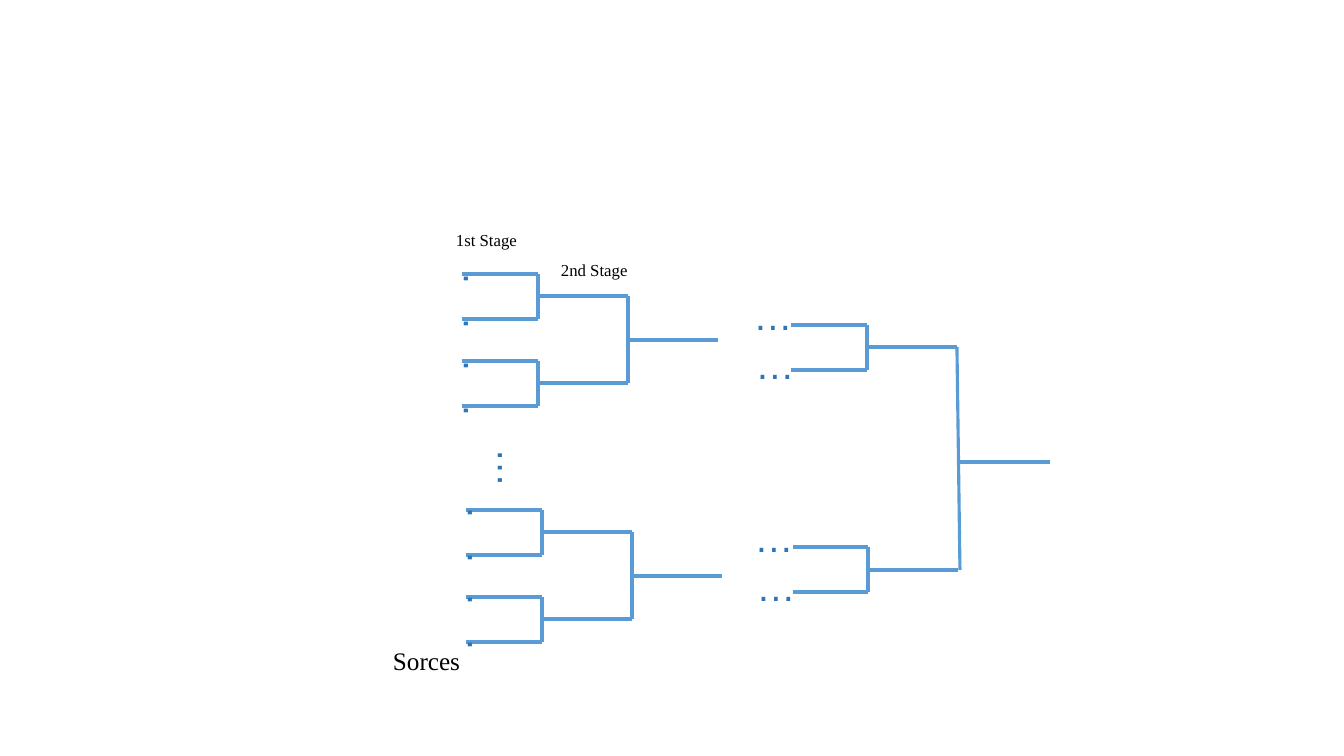
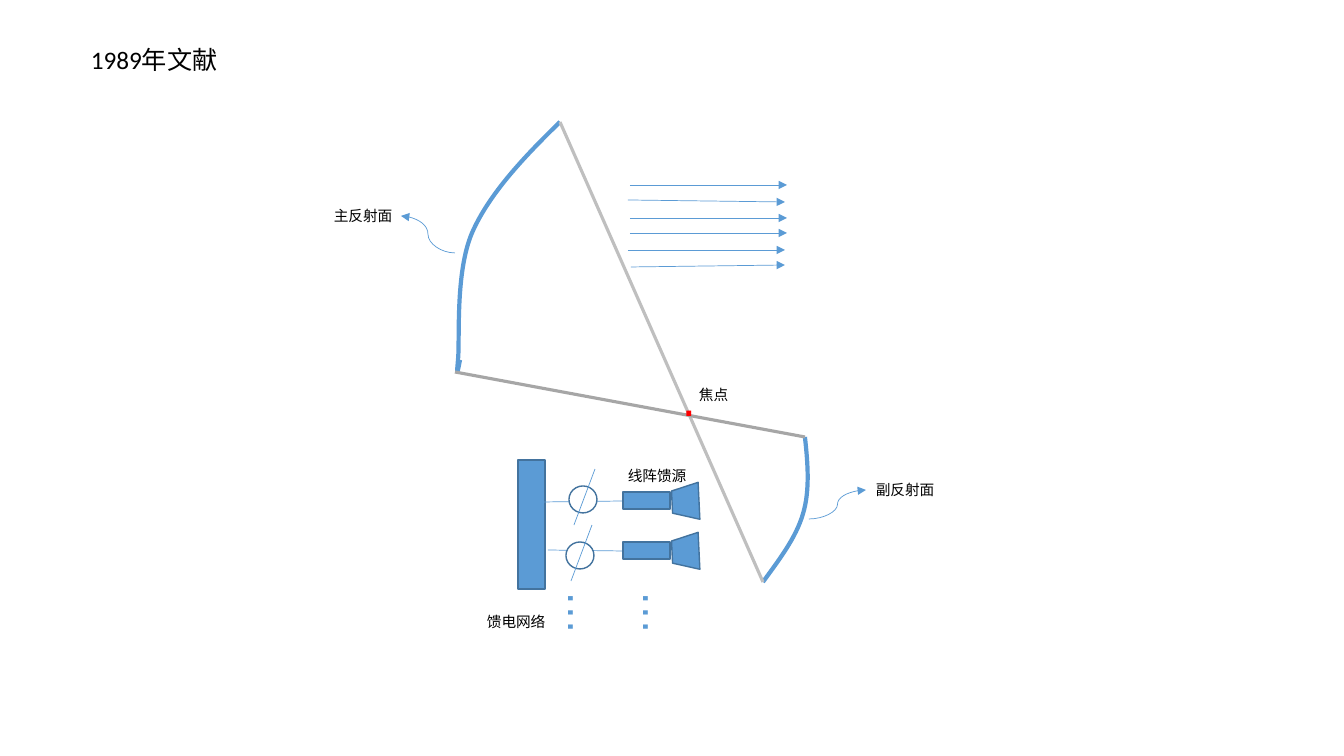
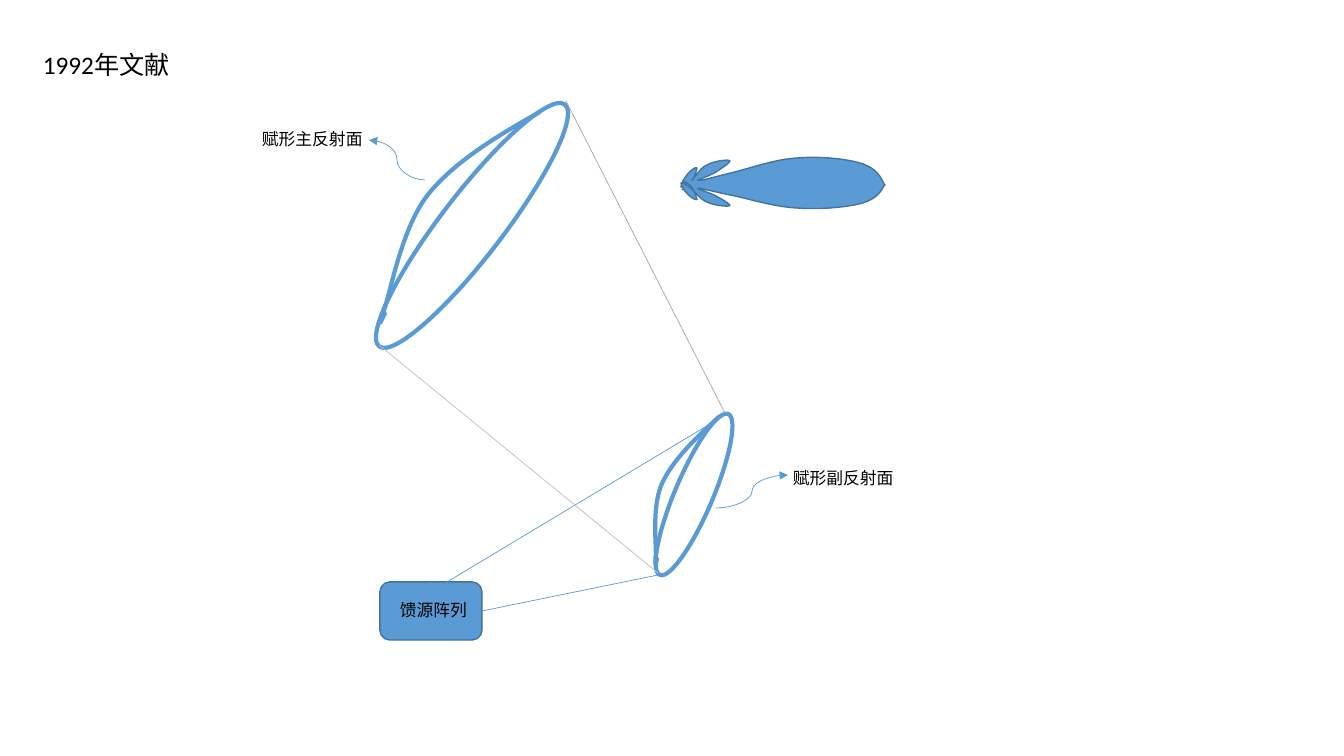
"""Build three slides on a combining network and two reflector antennas."""
import dataclasses
import typing

import lxml.etree
import pptx
import pptx.dml.color
import pptx.enum.shapes
import pptx.enum.text
import pptx.oxml.ns
import pptx.util

EMU_PER_PIXEL = 914400 / 100.8

BLUE = pptx.dml.color.RGBColor(0x5B, 0x9B, 0xD5)
DARK_BLUE = pptx.dml.color.RGBColor(0x2E, 0x75, 0xB6)
EDGE = pptx.dml.color.RGBColor(0x43, 0x73, 0x9E)
LIGHT_GREY = pptx.dml.color.RGBColor(0xBF, 0xBF, 0xBF)
GREY = pptx.dml.color.RGBColor(0xA6, 0xA6, 0xA6)
BLACK = pptx.dml.color.RGBColor(0, 0, 0)
WHITE = pptx.dml.color.RGBColor(0xFF, 0xFF, 0xFF)
RED = pptx.dml.color.RGBColor(0xFF, 0, 0)

THIN, EDGE_WIDTH, THICK, REFLECTOR = 0.5, 1, 2.25, 3
ELLIPSIS = "…"
SANS, SERIF, DOT_FONT = "Calibri", "Times New Roman", "Arial"

Shapes = pptx.enum.shapes.MSO_SHAPE
Connectors = pptx.enum.shapes.MSO_CONNECTOR
Color = pptx.dml.color.RGBColor
qualified = pptx.oxml.ns.qn


class Point(typing.NamedTuple):
    x: float
    y: float


class Box(typing.NamedTuple):
    left: int
    top: int
    width: int
    height: int


class Label(typing.NamedTuple):
    text: str
    box: Box


@dataclasses.dataclass(frozen=True)
class Fork:
    left: int
    joint: int
    upper: int
    lower: int


@dataclasses.dataclass(frozen=True)
class SourceGroup:
    left: int
    top: int
    dot_rise: int
    output: int


@dataclasses.dataclass(frozen=True)
class FeedRow:
    top: int
    wire_end: Point
    circle: Point


@dataclasses.dataclass(frozen=True)
class Line:
    start: Point
    end: Point
    color: Color = BLUE
    width: float = THIN
    arrow: bool = False
    curved: bool = False


def emu(pixels: float) -> int:
    return round(pixels * EMU_PER_PIXEL)


def points(*pairs: tuple[float, float]) -> list[Point]:
    return [Point(*pair) for pair in pairs]


MAIN_FRAME = Box(457, 122, 103, 250)
MAIN_CURVE = points(
    (560, 122), (524, 157), (489, 194), (472, 233), (455, 273), (460, 339),
    (458, 360), (456, 381), (458, 370), (460, 360))


def add_text(slide, text: str, box: Box, *, size: float, font: str = SANS,
             color: Color = BLACK, vertical: bool = False, rotation: float = 0,
             anchor=None, line_spacing: float | None = None) -> None:
    shape = slide.shapes.add_textbox(*map(emu, box))
    shape.rotation = rotation
    frame = shape.text_frame
    frame.word_wrap = True
    frame.auto_size = pptx.enum.text.MSO_AUTO_SIZE.SHAPE_TO_FIT_TEXT
    frame.vertical_anchor = anchor
    paragraph = frame.paragraphs[0]
    paragraph.line_spacing = line_spacing
    run = paragraph.add_run()
    run.text = text
    run.font.size = pptx.util.Pt(size)
    run.font.name = font
    run.font.color.rgb = color
    if vertical:
        body = shape.element.txBody.find(qualified("a:bodyPr"))
        body.set("vert", "eaVert")
        lxml.etree.SubElement(run.font._element, qualified("a:ea"), typeface=font)


def add_labels(slide, labels: list[Label], size: float, font: str = SANS) -> None:
    for label in labels:
        add_text(slide, label.text, label.box, size=size, font=font)


def add_line(slide, line: Line) -> None:
    kind = Connectors.CURVE if line.curved else Connectors.STRAIGHT
    connector = slide.shapes.add_connector(kind, *map(emu, line.start + line.end))
    connector.line.color.rgb = line.color
    connector.line.width = pptx.util.Pt(line.width)
    properties = connector.element.spPr
    if line.arrow:
        outline = properties.find(qualified("a:ln"))
        lxml.etree.SubElement(outline, qualified("a:tailEnd"), type="triangle")
    lxml.etree.SubElement(properties, qualified("a:effectLst"))


def style_shape(shape, fill: Color | None, line: Color, width: float) -> None:
    shape.shadow.inherit = False
    if fill is None:
        shape.fill.background()
    else:
        shape.fill.solid()
        shape.fill.fore_color.rgb = fill
    shape.line.color.rgb = line
    shape.line.width = pptx.util.Pt(width)


def add_shape(slide, kind, box: Box, *, fill: Color | None = BLUE, line: Color = EDGE,
              width: float = EDGE_WIDTH, rotation: float = 0):
    shape = slide.shapes.add_shape(kind, *map(emu, box))
    shape.rotation = rotation
    style_shape(shape, fill, line, width)
    return shape


def add_curve(slide, nodes: list[Point], frame: Box, *, fill: Color | None = None,
              line: Color = BLUE, width: float = REFLECTOR):
    local = [(emu(node.x - frame.left), emu(node.y - frame.top)) for node in nodes]
    builder = slide.shapes.build_freeform(*local[0])
    builder.add_line_segments(local[3::3], close=False)
    shape = builder.convert_to_shape()
    outline = next(shape.element.spPr.iter(qualified("a:path")))
    outline.set("w", str(emu(frame.width)))
    outline.set("h", str(emu(frame.height)))
    for command in list(outline):
        outline.remove(command)
    commands = [("a:moveTo", local[:1])]
    commands += [("a:cubicBezTo", local[i:i + 3]) for i in range(1, len(local), 3)]
    for tag, corners in commands:
        command = lxml.etree.SubElement(outline, qualified(tag))
        for x, y in corners:
            lxml.etree.SubElement(command, qualified("a:pt"), x=str(x), y=str(y))
    place_shape(shape, frame)
    style_shape(shape, fill, line, width)
    return shape


def place_shape(shape, box: Box) -> None:
    shape.left, shape.top, shape.width, shape.height = map(emu, box)


def add_main_curve(slide, box: Box, rotation: float = 0) -> None:
    shape = add_curve(slide, MAIN_CURVE, MAIN_FRAME)
    place_shape(shape, box)
    shape.rotation = rotation


def add_thick_line(slide, x1: int, y1: int, x2: int, y2: int) -> None:
    add_line(slide, Line(Point(x1, y1), Point(x2, y2), width=THICK))


def add_fork(slide, fork: Fork) -> None:
    for row in (fork.upper, fork.lower):
        add_thick_line(slide, fork.left, row, fork.joint, row)
    add_thick_line(slide, fork.joint, fork.upper, fork.joint, fork.lower)


def add_dots(slide, text: str, box: Box, rotation: float = 0) -> None:
    add_text(slide, text, box, size=28, font=DOT_FONT, color=DARK_BLUE,
             vertical=True, rotation=rotation)


def add_source_group(slide, group: SourceGroup) -> None:
    joint = group.left + 76
    rows = [group.top + offset for offset in (0, 45, 87, 132)]
    add_fork(slide, Fork(group.left, joint, rows[0], rows[1]))
    add_fork(slide, Fork(group.left, joint, rows[2], rows[3]))
    add_fork(slide, Fork(joint, joint + 90, group.top + 22, group.top + 109))
    add_thick_line(slide, joint + 90, group.output, joint + 180, group.output)
    for index, row in enumerate(rows):
        height = 29 if index else 23
        add_dots(slide, ".", Box(group.left - 22, row - group.dot_rise, 68, height))


def build_network(slide) -> None:
    for group in (SourceGroup(462, 274, 10, 340), SourceGroup(466, 510, 12, 576)):
        add_source_group(slide, group)
    add_dots(slide, ELLIPSIS, Box(492, 439, 50, 79))
    for left, top in ((758, 272), (760, 321), (759, 494), (761, 543)):
        add_dots(slide, ELLIPSIS, Box(left, top, 50, 79), rotation=270)
    for fork, output in ((Fork(791, 867, 325, 370), 347), (Fork(793, 868, 547, 592), 570)):
        add_fork(slide, fork)
        add_thick_line(slide, fork.joint, output, fork.joint + 90, output)
    add_thick_line(slide, 957, 347, 960, 570)
    add_thick_line(slide, 960, 462, 1050, 462)
    add_labels(slide, [Label("Sorces", Box(383, 640, 113, 40))], 18, SERIF)
    add_labels(slide, [Label("1st Stage", Box(446, 225, 124, 30)),
                       Label("2nd Stage", Box(551, 255, 124, 30))], 12, SERIF)


def add_feed_row(slide, row: FeedRow) -> None:
    circle = row.circle
    add_line(slide, Line(Point(623, row.top + 13), row.wire_end))
    add_shape(slide, Shapes.FLOWCHART_CONNECTOR, Box(circle.x, circle.y, 28, 27), fill=WHITE)
    add_line(slide, Line(Point(circle.x + 26, circle.y - 17),
                         Point(circle.x + 5, circle.y + 39)))
    add_shape(slide, Shapes.FLOWCHART_MANUAL_OPERATION, Box(667, row.top, 37, 27),
              rotation=87.2)
    add_shape(slide, Shapes.FLOWCHART_PROCESS, Box(623, row.top + 4, 47, 17))


def build_dual_reflector(slide) -> None:
    add_shape(slide, Shapes.ARC, Box(555, 122, 5, 5), fill=None, line=BLUE, width=THIN)
    add_main_curve(slide, MAIN_FRAME)
    sub_reflector = points(
        (805, 437), (808, 464), (810, 491), (803, 514), (796, 538), (779, 560), (763, 582))
    add_curve(slide, sub_reflector, Box(763, 437, 45, 145))
    add_line(slide, Line(Point(560, 122), Point(763, 582), LIGHT_GREY, THICK))
    add_line(slide, Line(Point(455, 372), Point(805, 437), GREY, THICK))
    add_shape(slide, Shapes.FLOWCHART_PROCESS, Box(518, 460, 27, 129))
    for row in (FeedRow(488, Point(543, 502), Point(569, 486)),
                FeedRow(538, Point(548, 550), Point(566, 542))):
        add_feed_row(slide, row)
    for left, start, right, end in ((630, 185, 787, 185), (628, 200, 785, 202),
                                    (630, 218, 787, 218), (630, 233, 787, 233),
                                    (628, 250, 785, 250), (631, 267, 785, 265)):
        add_line(slide, Line(Point(left, start), Point(right, end), arrow=True))
    for left in (543, 618):
        add_text(slide, ELLIPSIS, Box(left, 581, 75, 92), size=32, font=DOT_FONT,
                 color=BLUE, vertical=True)
    add_labels(slide, [Label("1989年文献", Box(81, 39, 186, 40))], 18)
    add_text(slide, ".", Box(672, 361, 22, 72), size=36, font=DOT_FONT, color=RED)
    add_line(slide, Line(Point(455, 253), Point(401, 216), arrow=True, curved=True))
    add_line(slide, Line(Point(809, 519), Point(866, 490), arrow=True, curved=True))
    add_labels(slide, [
        Label("馈电网络", Box(477, 608, 94, 28)),
        Label("线阵馈源", Box(618, 462, 122, 28)),
        Label("副反射面", Box(866, 476, 122, 28)),
        Label("主反射面", Box(324, 202, 122, 28)),
        Label("焦点", Box(689, 381, 64, 28)),
    ], 10.5)


def add_rim(slide, box: Box, rotation: float) -> None:
    rim = add_shape(slide, Shapes.ARC, box, fill=None, line=BLUE, width=REFLECTOR,
                    rotation=rotation)
    rim.adjustments[0] = 0.2
    rim.adjustments[1] = 0
    transform = rim.element.spPr.find(qualified("a:xfrm"))
    for flip in ("flipH", "flipV"):
        transform.set(flip, "1")


def build_shaped_reflector(slide) -> None:
    add_rim(slide, Box(441, 73, 62, 305), 37.5)
    add_main_curve(slide, Box(408, 96, 103, 243), 14.2)
    add_rim(slide, Box(675, 407, 38, 175), 23)
    add_main_curve(slide, Box(652, 418, 71, 145), 357.3)
    add_shape(slide, Shapes.ROUNDED_RECTANGLE, Box(380, 582, 102, 58))
    for line in (Line(Point(449, 602), Point(430, 582)),
                 Line(Point(442, 585), Point(725, 415)),
                 Line(Point(482, 611), Point(658, 575)),
                 Line(Point(658, 573), Point(379, 345), LIGHT_GREY),
                 Line(Point(566, 101), Point(725, 413), GREY),
                 Line(Point(716, 508), Point(788, 475), arrow=True, curved=True),
                 Line(Point(425, 180), Point(369, 140), arrow=True, curved=True)):
        add_line(slide, line)
    add_labels(slide, [Label("馈源阵列", Box(390, 595, 102, 30)),
                       Label("赋形副反射面", Box(783, 463, 122, 30))], 12)
    add_text(slide, "赋形主反射面", Box(252, 126, 135, 28), size=12, line_spacing=0.9,
             anchor=pptx.enum.text.MSO_ANCHOR.MIDDLE)
    upper_beam = points(
        (885, 186), (881, 177), (877, 169), (863, 164), (849, 159), (820, 156), (798, 158),
        (776, 159), (751, 168), (735, 172), (718, 176), (701, 181), (698, 181),
        (694, 181), (710, 176), (716, 172), (721, 169), (731, 162), (730, 161),
        (729, 159), (714, 161), (707, 165), (700, 168), (695, 178), (690, 182),
        (685, 186), (682, 188), (681, 187), (681, 186), (684, 178), (687, 175),
        (689, 172), (696, 166), (697, 168), (697, 169), (694, 180), (691, 183),
        (689, 187), (685, 188), (682, 190))
    lower_beam = [Point(node.x, 184 + (186 - node.y) * 0.86) for node in upper_beam]
    for beam, frame in ((upper_beam, Box(681, 157, 204, 32)),
                        (lower_beam, Box(681, 181, 204, 27))):
        add_curve(slide, beam, frame, fill=BLUE, line=EDGE, width=EDGE_WIDTH)
    add_labels(slide, [Label("1992年文献", Box(33, 44, 186, 40))], 18)


def main() -> None:
    presentation = pptx.Presentation()
    presentation.slide_width = emu(1344)
    presentation.slide_height = emu(756)
    blank = presentation.slide_layouts[6]
    for build in (build_network, build_dual_reflector, build_shaped_reflector):
        build(presentation.slides.add_slide(blank))
    presentation.save("out.pptx")


main()
